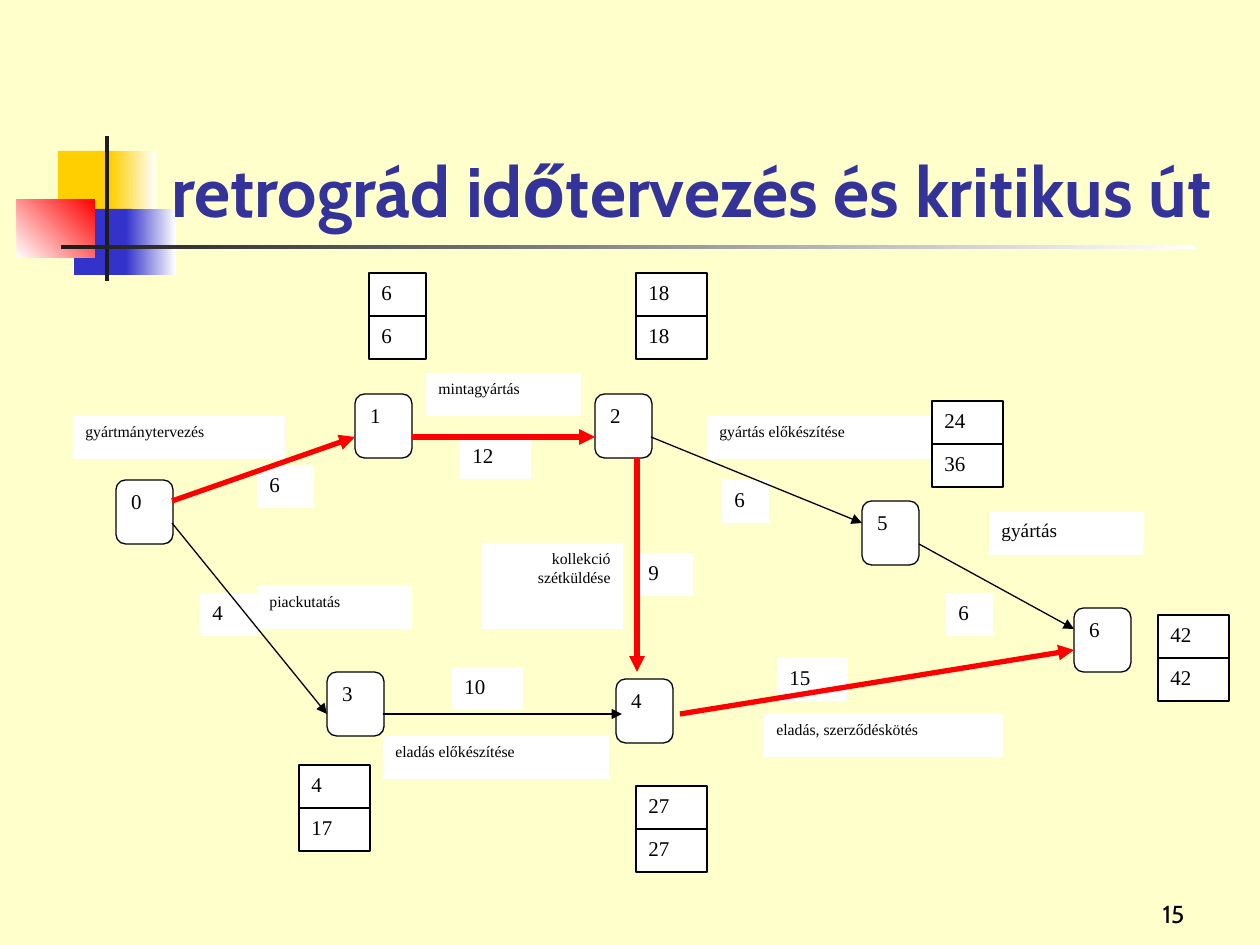
from lxml.etree import SubElement
from pptx import Presentation
from pptx.dml.color import RGBColor
from pptx.enum.shapes import MSO_CONNECTOR as CONN, MSO_SHAPE as SHAPE
from pptx.enum.text import MSO_ANCHOR as ANCHOR, PP_ALIGN as ALIGN
from pptx.oxml.ns import qn
from pptx.util import Pt

PX = 914400 / 126
COLORS = {
    "paper": "FFFFCC", "white": "FFFFFF", "black": "000000", "title": "333399",
    "yellow": "FFCF01", "blue": "3333CC", "red": "FF0000", "ink": "1C1C1C",
}
NODE_W, NODE_H, ROW_H = 57, 64, 43

DECOR = [
    (58, 151, 60, 66, "yellow"),
    (111, 151, 45, 66, "yellow", "white", 0),
    (74, 209, 58, 66, "blue"),
    (126, 209, 50, 66, "blue", "white", 0),
    (17, 199, 78, 59, "white", "red", 45),
    (105, 136, 4, 145, "ink"),
    (61, 245, 1134, 4, "ink", "white", 0),
]
NODES = {
    "0": (116, 480), "1": (355, 394), "2": (595, 394), "3": (327, 672),
    "4": (616, 679), "5": (862, 501), "6": (1074, 608),
}
TASKS = [
    ("gyártmánytervezés", 73, 416, 212),
    ("mintagyártás", 426, 373, 155),
    ("piackutatás", 257, 586, 155),
    ("eladás előkészítése", 383, 736, 226),
    ("eladás, szerződéskötés", 764, 714, 239),
    ("gyártás előkészítése", 707, 416, 226),
]
DURATIONS = [
    ("6", 257, 465, 57), ("4", 200, 593, 57), ("12", 460, 436, 71),
    ("10", 452, 667, 71), ("9", 636, 553, 57), ("6", 946, 593, 47),
    ("6", 722, 480, 47), ("15", 777, 658, 71),
]
TIMES = [
    ("6", "6", 369, 273, 57), ("18", "18", 636, 273, 71),
    ("24", "36", 932, 401, 71), ("42", "42", 1158, 615, 71),
    ("27", "27", 636, 786, 71), ("4", "17", 299, 765, 71),
]
STEPS = [
    (383, 714, 622, 714), (919, 544, 1074, 629),
    (172, 523, 327, 714), (651, 437, 862, 523),
]
CRITICAL = [
    (172, 501, 355, 437), (412, 437, 595, 437),
    (637, 458, 637, 672), (680, 714, 1074, 650),
]


def px(*values):
    return [round(v * PX) for v in values]


def rgb(name):
    return RGBColor.from_string(COLORS[name])


def write(sp, text, size=12, font="Times New Roman", color="black",
          bold=False, align=ALIGN.LEFT, anchor=ANCHOR.TOP):
    tf = sp.text_frame
    tf.word_wrap = True
    tf.vertical_anchor = anchor
    p = tf.paragraphs[0]
    p.alignment = align
    r = p.add_run()
    r.text = text
    r.font.size, r.font.name, r.font.bold = Pt(size), font, bold
    r.font.color.rgb = rgb(color)


class Deck:
    def __init__(self, width, height):
        self.prs = Presentation()
        self.prs.slide_width, self.prs.slide_height = px(width, height)
        self.slide = self.prs.slides.add_slide(self.prs.slide_layouts[6])
        self.shapes = self.slide.shapes
        fill = self.slide.background.fill
        fill.solid()
        fill.fore_color.rgb = rgb("paper")

    def block(self, x, y, w, h, fill="white", kind=SHAPE.RECTANGLE, outline=False):
        sp = self.shapes.add_shape(kind, *px(x, y, w, h))
        sp.shadow.inherit = False
        sp.fill.solid()
        sp.fill.fore_color.rgb = rgb(fill)
        if outline:
            sp.line.color.rgb = rgb("black")
            sp.line.width = Pt(0.75)
        else:
            sp.line.fill.background()
        return sp

    def decor(self, x, y, w, h, start, end=None, angle=0):
        sp = self.block(x, y, w, h, start)
        if end:
            sp.fill.gradient()
            sp.fill.gradient_angle = angle
            for stop, name in zip(sp.fill.gradient_stops, (start, end)):
                stop.color.rgb = rgb(name)

    def text(self, text, x, y, w, h, **style):
        write(self.shapes.add_textbox(*px(x, y, w, h)), text, **style)

    def node(self, text, x, y):
        kind = SHAPE.FLOWCHART_ALTERNATE_PROCESS
        write(self.block(x, y, NODE_W, NODE_H, kind=kind, outline=True), text)

    def label(self, text, x, y, w, h=ROW_H, outline=False, **style):
        write(self.block(x, y, w, h, outline=outline), text, **style)

    def times(self, early, late, x, y, w):
        for i, value in enumerate((early, late)):
            self.label(value, x, y + i * ROW_H, w, outline=True)

    def arrow(self, x1, y1, x2, y2, color="black", width=0.75):
        c = self.shapes.add_connector(CONN.STRAIGHT, *px(x1, y1, x2, y2))
        c.line.color.rgb = rgb(color)
        c.line.width = Pt(width)
        pr = c.element.spPr
        SubElement(pr.find(qn("a:ln")), qn("a:tailEnd"), type="triangle")
        SubElement(pr, qn("a:effectLst"))


def main():
    deck = Deck(1260, 945)
    for part in DECOR:
        deck.decor(*part)
    deck.text("15", 935, 872, 262, 63, size=14, font="Cabin",
              align=ALIGN.RIGHT, anchor=ANCHOR.BOTTOM)
    deck.text("retrográd időtervezés és kritikus út", 159, 55, 1074, 183, size=40,
              font="Cabin", color="title", bold=True, anchor=ANCHOR.BOTTOM)
    for name, place in NODES.items():
        deck.node(name, *place)
    for task in TASKS:
        deck.label(*task, size=9)
    deck.label("gyártás", 989, 512, 155, size=11)
    deck.label("kollekció szétküldése", 482, 543, 141, 86, size=9, align=ALIGN.RIGHT)
    for duration in DURATIONS:
        deck.label(*duration)
    for step in STEPS:
        deck.arrow(*step)
    for step in CRITICAL:
        deck.arrow(*step, color="red", width=3)
    for pair in TIMES:
        deck.times(*pair)
    deck.prs.save("out.pptx")


if __name__ == "__main__":
    main()
